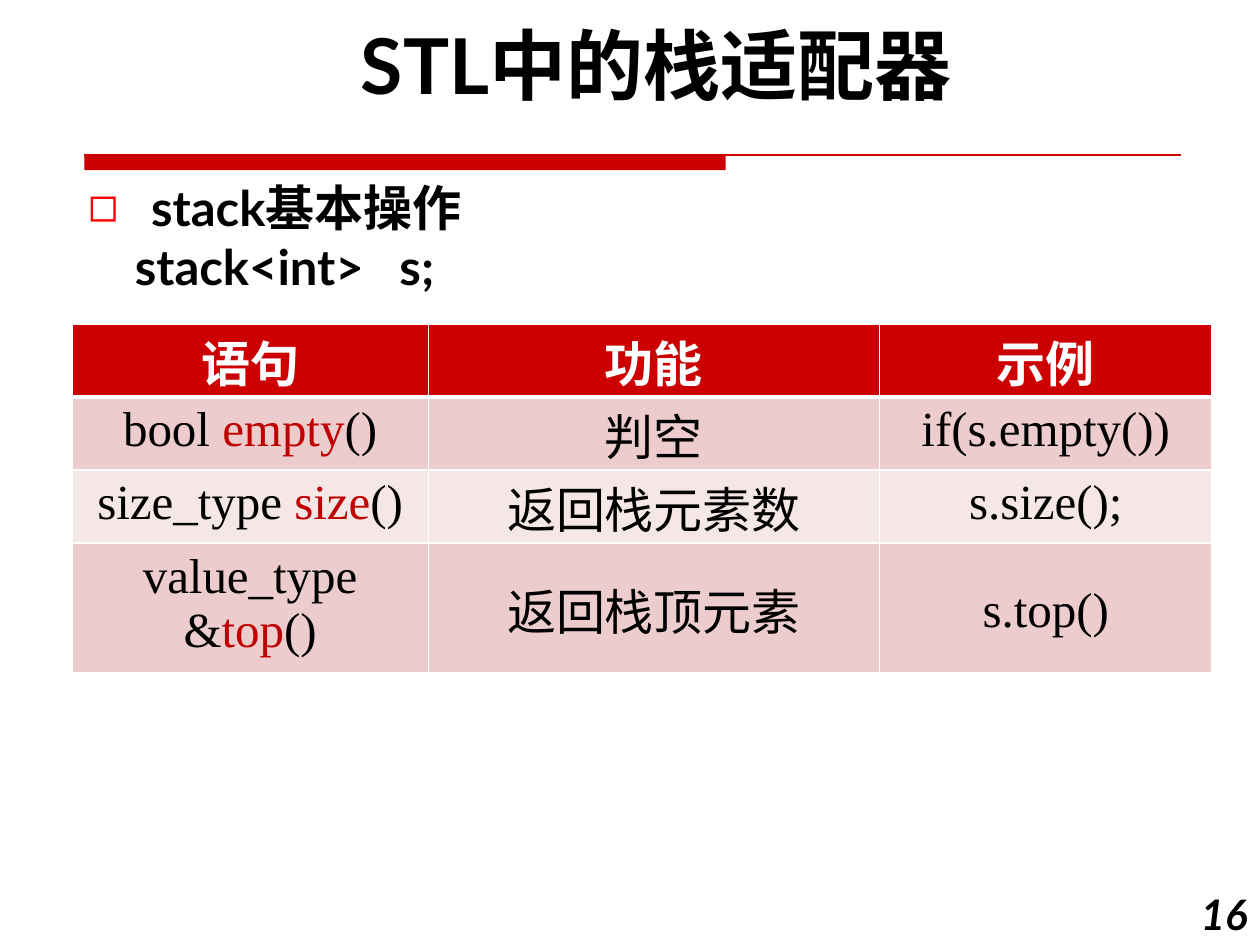
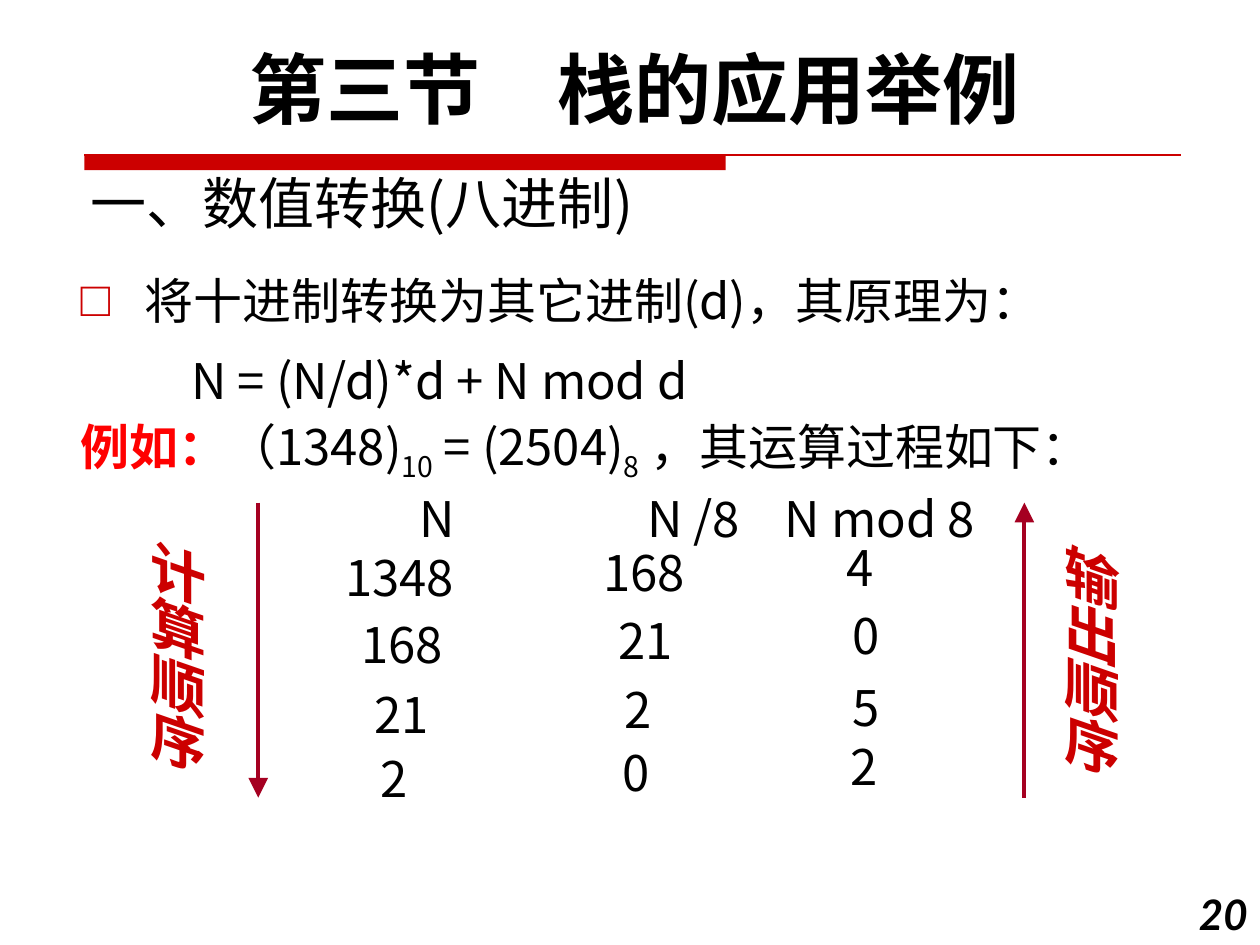
"""Build two slides about stacks: the STL adapter and number conversion."""
from dataclasses import dataclass, replace

from lxml import etree
from pptx import Presentation
from pptx.dml.color import RGBColor
from pptx.enum import shapes, text
from pptx.oxml import ns
from pptx.util import Inches, Pt


@dataclass(frozen=True)
class TextStyle:
    """Type settings for one kind of text."""
    size: float
    latin: str
    asian: str
    color: str = "000000"
    bold: bool = False
    italic: bool = False


@dataclass(frozen=True)
class Theme:
    """Colours and type sizes shared by the slides."""
    red: str = "CC0000"
    bright_red: str = "FF0000"
    keyword: str = "C00000"
    arrow: str = "A50021"
    white: str = "FFFFFF"
    bands: tuple = ("ECCCCC", "F6E7E7")
    title: TextStyle = TextStyle(44, "Lato", "Lato", bold=True)
    strong: TextStyle = TextStyle(28, "Lato", "Lato", bold=True)
    number: TextStyle = TextStyle(24, "Lato", "Lato", bold=True, italic=True)
    heading: TextStyle = TextStyle(32, "Noto Sans CJK SC", "Noto Sans CJK SC")
    body: TextStyle = TextStyle(28, "Noto Sans CJK SC", "Noto Sans CJK SC")
    cell: TextStyle = TextStyle(28, "Times New Roman", "Noto Sans CJK SC")
    vertical: TextStyle = TextStyle(32, "Times New Roman", "Noto Sans CJK SC", "CC0000", True, True)


THEME = Theme()


def child(parent, tag, **attributes):
    """Append a drawing element to its parent."""
    return etree.SubElement(parent, ns.qn(tag), attributes)


def place(shape, left, top, width, height):
    """Move and size a shape in inches."""
    shape.left, shape.top = Inches(left), Inches(top)
    shape.width, shape.height = Inches(width), Inches(height)


def style_paragraph(paragraph, style):
    """Apply a text style to a whole paragraph."""
    font = paragraph.font
    font.size, font.name = Pt(style.size), style.latin
    font.bold, font.italic = style.bold, style.italic
    font.color.rgb = RGBColor.from_string(style.color)
    defaults = paragraph._p.pPr.find(ns.qn("a:defRPr"))
    child(defaults, "a:ea", typeface=style.asian)


def add_runs(paragraph, runs):
    """Add runs given as text or as (text, colour, bold, baseline)."""
    for item in runs:
        words, color, bold, baseline = (item, None, None, None) if isinstance(item, str) else item
        run = paragraph.add_run()
        run.text = words
        if color:
            run.font.color.rgb = RGBColor.from_string(color)
        if bold:
            run.font.bold = True
        if baseline:
            run.font._element.set("baseline", str(baseline))


def set_indent(paragraph, margin=0, bullet=None, bullet_color=None):
    """Set the indent and bullet of a list paragraph."""
    properties = paragraph._p.get_or_add_pPr()
    properties.set("marL", str(Inches(margin)))
    properties.set("indent", str(-Inches(margin) if bullet else 0))
    if bullet:
        child(child(properties, "a:buClr"), "a:srgbClr", val=bullet_color)
        child(properties, "a:buChar", char=bullet)
    else:
        child(properties, "a:buNone")


def fill_list(placeholder, items, style, line_height):
    """Write (runs, space before, indent settings) items into a body placeholder."""
    frame = placeholder.text_frame
    frame.auto_size = text.MSO_AUTO_SIZE.NONE
    for index, (runs, before, indent) in enumerate(items):
        paragraph = frame.add_paragraph() if index else frame.paragraphs[0]
        set_indent(paragraph, **indent)
        paragraph.space_before = Pt(before)
        paragraph.line_spacing = Pt(line_height)
        style_paragraph(paragraph, style)
        add_runs(paragraph, runs)


def add_label(slide, words, box, style, align=text.PP_ALIGN.LEFT,
              anchor=text.MSO_ANCHOR.TOP, vertical=False):
    """Add a one-paragraph text box."""
    shape = slide.shapes.add_textbox(*map(Inches, box))
    frame = shape.text_frame
    frame.word_wrap, frame.vertical_anchor = not vertical, anchor
    if vertical:
        frame._txBody.bodyPr.set("vert", "eaVert")
    paragraph = frame.paragraphs[0]
    paragraph.alignment = align
    style_paragraph(paragraph, style)
    add_runs(paragraph, [words])


def add_line(slide, start, end, color, width, arrow=False):
    """Draw a straight line, with an arrowhead at its end if asked."""
    line = slide.shapes.add_connector(shapes.MSO_CONNECTOR.STRAIGHT, *map(Inches, start + end))
    line.line.color.rgb = RGBColor.from_string(color)
    line.line.width = Pt(width)
    if arrow:
        child(line.line._get_or_add_ln(), "a:tailEnd", type="triangle", w="lg", len="lg")
    child(line._element.spPr, "a:effectLst")


def add_title_rule(slide):
    """Draw the thick and thin red rule under the title."""
    bar = slide.shapes.add_shape(
        shapes.MSO_SHAPE.RECTANGLE, Inches(0.67), Inches(1.23), Inches(5.09), Inches(0.12))
    bar.shadow.inherit = False
    bar.fill.solid()
    bar.fill.fore_color.rgb = RGBColor.from_string(THEME.red)
    bar.line.fill.background()
    add_line(slide, (0.67, 1.23), (9.37, 1.23), THEME.red, 0.75)


def add_slide(presentation, title, title_box, line_spacing, body_box, page):
    """Add a slide with its title, rule and page number; return it and its body."""
    slide = presentation.slides.add_slide(presentation.slide_layouts[1])
    title_shape, body = slide.placeholders
    add_title_rule(slide)
    place(title_shape, *title_box)
    frame = title_shape.text_frame
    frame.auto_size = text.MSO_AUTO_SIZE.NONE
    frame.vertical_anchor = text.MSO_ANCHOR.TOP
    paragraph = frame.paragraphs[0]
    paragraph.alignment = text.PP_ALIGN.CENTER
    paragraph.line_spacing = line_spacing
    style_paragraph(paragraph, THEME.title)
    add_runs(paragraph, [title])
    place(body, *body_box)
    add_label(slide, page, (9.33, 7, 0.67, 0.5), THEME.number, text.PP_ALIGN.RIGHT)
    return slide, body


def set_borders(cell, top, bottom):
    """Give a cell white borders, one point wide at the sides."""
    properties = cell._tc.get_or_add_tcPr()
    for side, width in (("L", 1), ("R", 1), ("T", top), ("B", bottom)):
        line = child(properties, f"a:ln{side}", w=str(Pt(width)))
        child(child(line, "a:solidFill"), "a:srgbClr", val=THEME.white)


def add_operations_table(slide, rows, left, top, widths, heights):
    """Add the table of stack operations."""
    frame = slide.shapes.add_table(
        len(rows), len(widths), Inches(left), Inches(top),
        Inches(sum(widths)), Inches(sum(heights)))
    table = frame.table
    table.horz_banding = False
    for column, width in zip(table.columns, widths):
        column.width = Inches(width)
    for row, height in zip(table.rows, heights):
        row.height = Inches(height)
    header = replace(THEME.cell, color=THEME.white, bold=True)
    for row_index, row in enumerate(rows):
        for column_index, runs in enumerate(row):
            cell = table.cell(row_index, column_index)
            set_borders(cell, 3 if row_index == 1 else 1, 3 if row_index == 0 else 1)
            cell.fill.solid()
            fill = THEME.bands[(row_index - 1) % 2] if row_index else THEME.red
            cell.fill.fore_color.rgb = RGBColor.from_string(fill)
            cell.margin_bottom = 0
            if row_index == len(rows) - 1 and column_index:
                cell.vertical_anchor = text.MSO_ANCHOR.MIDDLE
            paragraph = cell.text_frame.paragraphs[0]
            paragraph.alignment = text.PP_ALIGN.CENTER
            if row_index == 0 or column_index == 1:
                paragraph.line_spacing = Pt(38)
            style_paragraph(paragraph, THEME.cell if row_index else header)
            add_runs(paragraph, runs)


def signature(result, name):
    """Return the runs of a member function with its name highlighted."""
    return [result, (name, THEME.keyword, None, None), "()"]


def build_adapter_slide(presentation):
    """Build the slide on the STL stack adapter."""
    slide, body = add_slide(
        presentation, "STL中的栈适配器", (0.67, 0.17, 9.08, 0.83), 0.9,
        (0.6, 1.35, 9.38, 1.04), "16")
    fill_list(body, [
        (["stack基本操作"], 0, dict(margin=0.5, bullet="◻", bullet_color=THEME.bright_red)),
        (["stack<int>   s;"], 0, dict(margin=0.37)),
    ], THEME.strong, 34)
    add_operations_table(slide, [
        (["语句"], ["功能"], ["示例"]),
        (signature("bool ", "empty"), ["判空"], ["if(s.empty())"]),
        (signature("size_type ", "size"), ["返回栈元素数"], ["s.size();"]),
        (signature("value_type &", "top"), ["返回栈顶元素"], ["s.top()"]),
    ], 0.57, 2.57, (2.83, 3.58, 2.64), (0.58, 0.58, 0.58, 1.03))


def build_conversion_slide(presentation):
    """Build the slide on converting numbers with a stack."""
    slide, body = add_slide(
        presentation, "第三节　栈的应用举例", (0.41, 0.28, 9.25, 0.84), 1.0,
        (0.54, 2.09, 9.58, 4.42), "20")
    add_label(slide, "一、数值转换(八进制)", (0.62, 1.17, 6.25, 0.75), THEME.heading,
              anchor=text.MSO_ANCHOR.BOTTOM)
    fill_list(body, [
        (["将十进制转换为其它进制(d)，其原理为："], 0,
         dict(margin=0.51, bullet="□", bullet_color=THEME.red)),
        (["N = (N/d)*d + N mod d"], 12, dict(margin=0.88)),
        ([("例如：", THEME.bright_red, True, None), "（1348)", ("10", None, None, -25000),
          " = (2504)", ("8", None, None, -25000), " ，其运算过程如下："], 8, {}),
    ], THEME.body, 34)
    add_line(slide, (2.05, 3.99), (2.05, 6.33), THEME.arrow, 2.25, arrow=True)
    add_line(slide, (8.13, 6.33), (8.13, 3.99), THEME.arrow, 2.25, arrow=True)
    for words, left, top in (("输出顺序", 8.36, 4.19), ("计算顺序", 1.11, 4.16)):
        add_label(slide, words, (left, top, 0.74, 1.84), THEME.vertical, vertical=True)
    division_steps = [
        [("N", 3.23, 3.83), ("N /8", 5.04, 3.83), ("N mod 8", 6.13, 3.83)],
        [("1348", 2.64, 4.3), ("168", 4.69, 4.26), ("4", 6.62, 4.22)],
        [("168", 2.77, 4.83), ("21", 4.81, 4.8), ("0", 6.67, 4.76)],
        [("21", 2.87, 5.38), ("2", 4.86, 5.34), ("5", 6.67, 5.33)],
        [("2", 2.92, 5.89), ("0", 4.84, 5.84), ("2", 6.65, 5.8)],
    ]
    for step in division_steps:
        for words, left, top in step:
            width = 1.8 if len(words) > 4 else 1.12
            add_label(slide, words, (left, top, width, 0.57), THEME.body)


def main():
    """Build and save the presentation."""
    presentation = Presentation()
    presentation.slide_width, presentation.slide_height = Inches(10), Inches(7.5)
    build_adapter_slide(presentation)
    build_conversion_slide(presentation)
    presentation.save("out.pptx")


if __name__ == "__main__":
    main()
